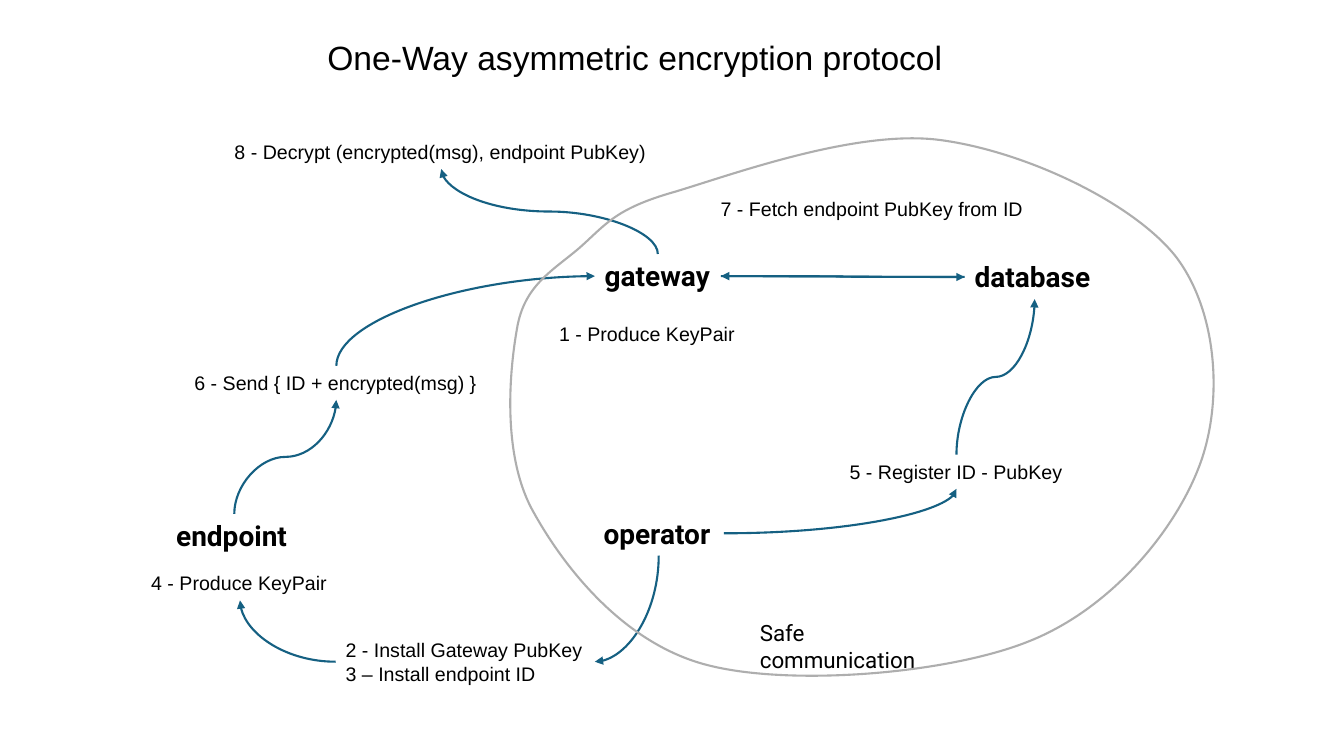
from dataclasses import dataclass

from lxml import etree
from pptx import Presentation
from pptx.dml.color import RGBColor
from pptx.enum.shapes import MSO_CONNECTOR
from pptx.enum.text import MSO_AUTO_SIZE
from pptx.oxml.ns import qn
from pptx.shapes.autoshape import Shape
from pptx.shapes.shapetree import SlideShapes
from pptx.util import Cm, Pt

CURVE = MSO_CONNECTOR.CURVE
FIT_SHAPE = MSO_AUTO_SIZE.SHAPE_TO_FIT_TEXT

BLACK = RGBColor(0x00, 0x00, 0x00)
ARROW_BLUE = RGBColor(0x15, 0x60, 0x82)
ZONE_GREY = RGBColor(0xAE, 0xAE, 0xAE)
LINE_WIDTH = Pt(1.5)

# Connection sites of a text box
TOP, LEFT, BOTTOM, RIGHT = range(4)


@dataclass(frozen=True)
class Label:
    """A text with its box in centimetres."""
    text: str
    left: float
    top: float
    width: float
    height: float = 0.86
    size: int = 14
    font: str = "Arial"
    bold: bool = False
    wrap: bool = False


@dataclass(frozen=True)
class Arrow:
    """A curved arrow between sites of two labels, given by key."""
    source: str
    source_site: int
    target: str
    target_site: int


def actor(text: str, left: float, top: float, width: float) -> Label:
    return Label(text, left, top, width, 1.12, 20, "Roboto", True)


LABELS = {
    "endpoint": actor("endpoint", 4.19, 12.95, 3.43),
    "gateway": actor("gateway", 14.99, 6.4, 3.18),
    "database": actor("database", 24.31, 6.42, 3.53),
    "operator": actor("operator", 14.96, 12.88, 3.28),
    "register": Label("5 - Register ID - PubKey", 21.16, 11.46, 5.89),
    "endpoint keys": Label("4 - Produce KeyPair", 3.56, 14.27, 4.98),
    "gateway keys": Label("1 - Produce KeyPair", 13.84, 7.98, 4.98),
    "install": Label("2 - Install Gateway PubKey\n3 – Install endpoint ID",
                     8.46, 15.95, 6.53, 1.45),
    "fetch": Label("7 - Fetch endpoint PubKey from ID", 17.91, 4.85, 8.18),
    "send": Label("6 - Send { ID + encrypted(msg) }", 4.65, 9.22, 7.65),
    "decrypt": Label("8 - Decrypt (encrypted(msg), endpoint PubKey)",
                     5.66, 3.4, 10.92),
    "title": Label("One-Way asymmetric encryption protocol",
                   8, 0.81, 16.21, 1.27, 24),
    "zone": Label("Safe communication", 18.9, 15.47, 5.61, 0.94, 16, "Roboto",
                  wrap=True),
}

ARROWS = [
    Arrow("operator", BOTTOM, "install", RIGHT),
    Arrow("install", LEFT, "endpoint keys", BOTTOM),
    Arrow("operator", RIGHT, "register", BOTTOM),
    Arrow("register", TOP, "database", BOTTOM),
    Arrow("gateway", RIGHT, "database", LEFT),
    Arrow("database", LEFT, "gateway", RIGHT),
    Arrow("endpoint", TOP, "send", BOTTOM),
    Arrow("send", TOP, "gateway", LEFT),
    Arrow("gateway", TOP, "decrypt", BOTTOM),
]

# Start point, then two control points and an end point per curve
SAFE_ZONE = [
    (14.6, 6.25),
    (13.92, 6.83), (13.21, 7.19), (13.03, 8.28),
    (12.83, 9.4), (12.65, 11.53), (13.46, 12.93),
    (14.25, 14.35), (15.75, 16.23), (17.83, 16.76),
    (19.91, 17.3), (23.9, 16.99), (25.96, 16.15),
    (28.02, 15.32), (29.62, 13.36), (30.23, 11.73),
    (30.84, 10.11), (30.68, 7.82), (29.62, 6.45),
    (28.52, 5.08), (25.81, 3.81), (23.7, 3.53),
    (21.62, 3.25), (18.54, 4.37), (17.02, 4.83),
    (15.49, 5.26), (15.27, 5.66), (14.6, 6.25),
]


def add_label(shapes: SlideShapes, label: Label) -> Shape:
    box = shapes.add_textbox(Cm(label.left), Cm(label.top),
                             Cm(label.width), Cm(label.height))
    frame = box.text_frame
    frame.text = label.text
    frame.word_wrap = label.wrap
    frame.auto_size = FIT_SHAPE
    for paragraph in frame.paragraphs:
        font = paragraph.font
        font.name = label.font
        font.size = Pt(label.size)
        font.bold = label.bold
        font.color.rgb = BLACK
    return box


def add_arrow(shapes: SlideShapes, arrow: Arrow, boxes: dict[str, Shape]) -> None:
    connector = shapes.add_connector(CURVE, 0, 0, 0, 0)
    connector.begin_connect(boxes[arrow.source], arrow.source_site)
    connector.end_connect(boxes[arrow.target], arrow.target_site)
    properties = connector.element.spPr

    starts_vertical = arrow.source_site in (TOP, BOTTOM)
    ends_vertical = arrow.target_site in (TOP, BOTTOM)
    if starts_vertical != ends_vertical:
        properties.find(qn("a:prstGeom")).set("prst", "curvedConnector2")
    if starts_vertical:
        # The preset leaves sideways, so turn it by 90 degrees about its centre
        dx = connector.end_x - connector.begin_x
        dy = connector.end_y - connector.begin_y
        center_x = (connector.begin_x + connector.end_x) // 2
        center_y = (connector.begin_y + connector.end_y) // 2
        connector.width, connector.height = abs(dy), abs(dx)
        connector.left = center_x - abs(dy) // 2
        connector.top = center_y - abs(dx) // 2
        transform = properties.find(qn("a:xfrm"))
        transform.set("rot", "5400000")
        transform.set("flipH", str(int(dy < 0)))
        transform.set("flipV", str(int(dx > 0)))

    connector.line.color.rgb = ARROW_BLUE
    connector.line.width = LINE_WIDTH
    etree.SubElement(properties.find(qn("a:ln")), qn("a:tailEnd"), type="triangle")
    etree.SubElement(properties, qn("a:effectLst"))


def add_safe_zone(shapes: SlideShapes) -> None:
    start, *points = [(Cm(x), Cm(y)) for x, y in SAFE_ZONE]
    builder = shapes.build_freeform(*start)
    builder.add_line_segments(points, close=True)
    zone = builder.convert_to_shape()
    zone.shadow.inherit = False
    zone.fill.background()
    zone.line.color.rgb = ZONE_GREY
    zone.line.width = LINE_WIDTH

    # Turn each three straight segments into one Bézier curve
    segments = list(zone.element.iter(qn("a:lnTo")))
    for first in range(0, len(segments), 3):
        curve = etree.Element(qn("a:cubicBezTo"))
        segments[first].addprevious(curve)
        for segment in segments[first:first + 3]:
            curve.append(segment[0])
            segment.getparent().remove(segment)


def main() -> None:
    presentation = Presentation()
    presentation.slide_width = Cm(33.87)
    presentation.slide_height = Cm(19.05)
    shapes = presentation.slides.add_slide(presentation.slide_layouts[6]).shapes

    boxes = {key: add_label(shapes, label) for key, label in LABELS.items()}
    for arrow in ARROWS:
        add_arrow(shapes, arrow, boxes)
    add_safe_zone(shapes)
    presentation.save("out.pptx")


if __name__ == "__main__":
    main()
